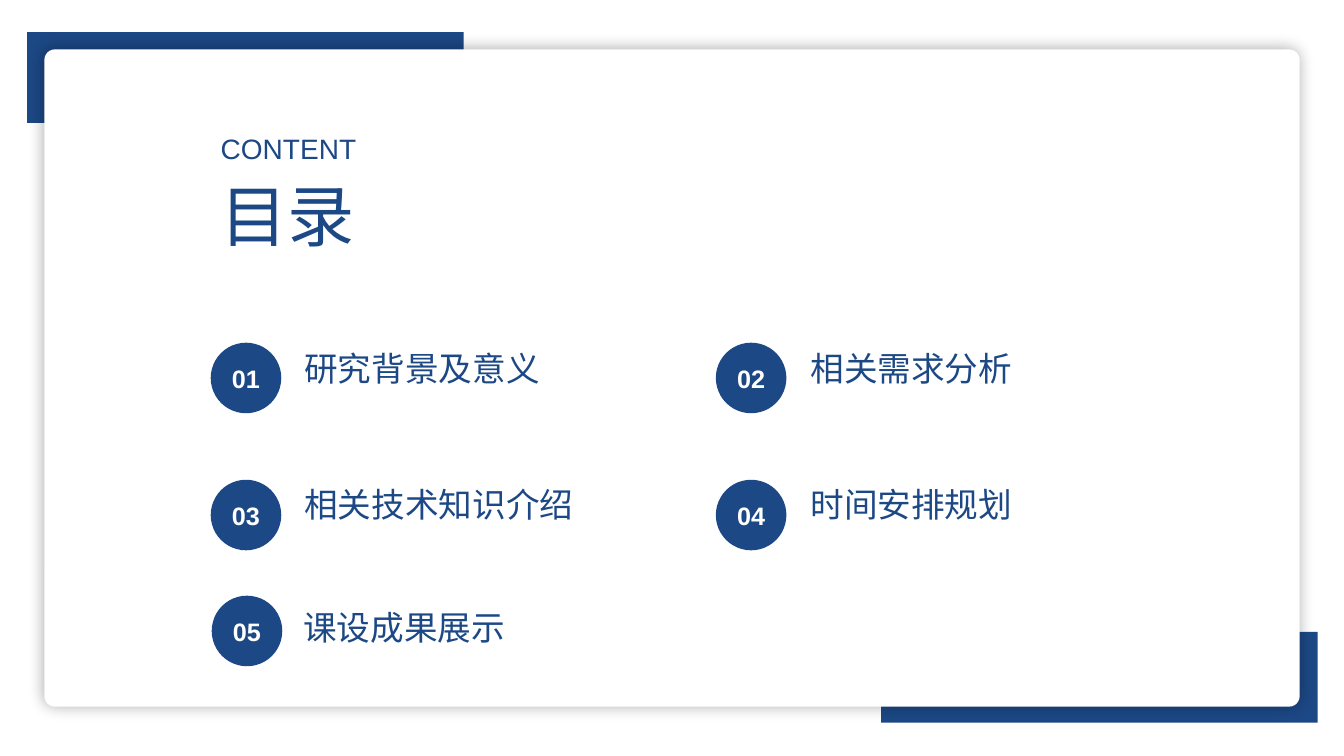
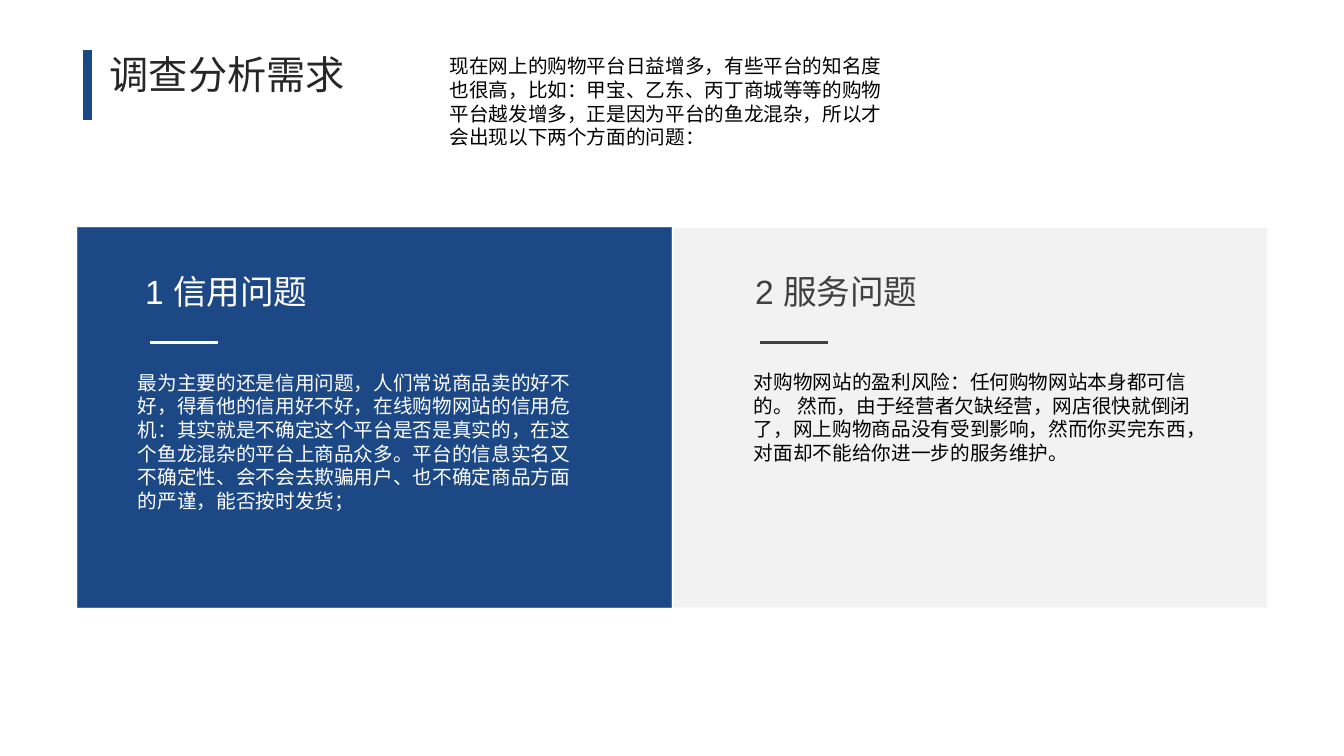
from lxml import etree
from pptx import Presentation
from pptx.dml.color import RGBColor
from pptx.enum.shapes import MSO_CONNECTOR, MSO_SHAPE
from pptx.enum.text import MSO_ANCHOR, PP_ALIGN
from pptx.oxml import parse_xml
from pptx.oxml.ns import nsdecls, qn
from pptx.util import Inches, Pt

FONT = "Arial"
BLUE, WHITE, BLACK = "1C4885", "FFFFFF", "000000"
INK, GREY, PALE, EDGE = "262626", "404040", "F2F2F2", "43739E"

CORNERS = [(8.74, 6.27), (0.27, 0.32)]
# number, title, circle position, title position
AGENDA = [
    ("01", "研究背景及意义", (2.09, 3.4), (2.92, 3.4)),
    ("02", "相关需求分析", (7.1, 3.4), (7.94, 3.4)),
    ("03", "相关技术知识介绍", (2.09, 4.76), (2.92, 4.75)),
    ("04", "时间安排规划", (7.1, 4.76), (7.94, 4.75)),
    ("05", "课设成果展示", (2.1, 5.91), (2.91, 5.97)),
]

TITLE = "调查分析需求"
INTRO = ("现在网上的购物平台日益增多，有些平台的知名度也很高，比如：甲宝、乙东、"
         "丙丁商城等等的购物平台越发增多，正是因为平台的鱼龙混杂，所以才会出现以下"
         "两个方面的问题：")
PANELS = [
    dict(left=0.77, fill=BLUE, edge=EDGE, head="1 信用问题", head_left=1.34,
         head_color=WHITE, body_at=(1.27, 3.63), body_color=WHITE,
         body="最为主要的还是信用问题，人们常说商品卖的好不好，得看他的信用好不好，"
              "在线购物网站的信用危机：其实就是不确定这个平台是否是真实的，在这个鱼龙"
              "混杂的平台上商品众多。平台的信息实名又不确定性、会不会去欺骗用户、也不"
              "确定商品方面的严谨，能否按时发货；"),
    dict(left=6.68, fill=PALE, edge=None, head="2 服务问题", head_left=7.39,
         head_color=GREY, body_at=(7.38, 3.62), body_color=BLACK,
         body="对购物网站的盈利风险：任何购物网站本身都可信的。 然而，由于经营者欠缺"
              "经营，网店很快就倒闭了，网上购物商品没有受到影响，然而你买完东西，对面"
              "却不能给你进一步的服务维护。"),
]


def rgb(value):
    return RGBColor.from_string(value)


def write(sp, text, size, color, align=None, bold=False):
    p = sp.text_frame.paragraphs[0]
    p.alignment = align
    r = p.add_run()
    r.text = text
    r.font.name, r.font.size, r.font.bold = FONT, Pt(size), bold
    r.font.color.rgb = rgb(color)


def add_text(slide, x, y, w, h, text, size, color, align=None):
    sp = slide.shapes.add_textbox(Inches(x), Inches(y), Inches(w), Inches(h))
    sp.text_frame.word_wrap = True
    write(sp, text, size, color, align)


def add_block(slide, kind, x, y, w, h, fill, edge=None):
    sp = slide.shapes.add_shape(kind, Inches(x), Inches(y), Inches(w), Inches(h))
    sp.shadow.inherit = False
    sp.fill.solid()
    sp.fill.fore_color.rgb = rgb(fill)
    if edge:
        sp.line.color.rgb = rgb(edge)
        sp.line.width = Pt(1)
    else:
        sp.line.fill.background()
    return sp


def add_line(slide, x1, y1, x2, y2, color, width):
    line = slide.shapes.add_connector(
        MSO_CONNECTOR.STRAIGHT, Inches(x1), Inches(y1), Inches(x2), Inches(y2))
    line.line.color.rgb = rgb(color)
    line.line.width = Pt(width)
    etree.SubElement(line._element.spPr, qn("a:effectLst"))


def add_soft_shadow(sp, blur, opacity):
    """Spread a black shadow evenly round the shape; opacity in percent."""
    effects = sp._element.spPr.find(qn("a:effectLst"))
    effects.append(parse_xml(
        f'<a:outerShdw {nsdecls("a")} blurRad="{Inches(blur)}" dist="0" '
        f'algn="ctr" rotWithShape="0"><a:srgbClr val="{BLACK}">'
        f'<a:alpha val="{opacity * 1000}"/></a:srgbClr></a:outerShdw>'))


def build_agenda(slide):
    for x, y in CORNERS:
        add_block(slide, MSO_SHAPE.RECTANGLE, x, y, 4.33, 0.9, BLUE)
    card = add_block(slide, MSO_SHAPE.ROUNDED_RECTANGLE, 0.44, 0.49, 12.45, 6.52, WHITE)
    card.adjustments[0] = 0.016
    add_soft_shadow(card, 0.15, 35)

    add_text(slide, 2.09, 1.68, 2.54, 0.91, "目录", 48, BLUE, PP_ALIGN.JUSTIFY)
    add_text(slide, 2.09, 1.26, 2.54, 0.44, "CONTENT", 20, BLUE, PP_ALIGN.JUSTIFY)
    for number, title, circle_at, title_at in AGENDA:
        circle = add_block(slide, MSO_SHAPE.OVAL, *circle_at, 0.7, 0.7, BLUE)
        circle.text_frame.vertical_anchor = MSO_ANCHOR.MIDDLE
        write(circle, number, 18, WHITE, PP_ALIGN.CENTER, bold=True)
        add_text(slide, *title_at, 4.05, 0.5, title, 24, BLUE, PP_ALIGN.JUSTIFY)


def build_needs(slide):
    add_line(slide, 0.87, 0.5, 0.87, 1.19, BLUE, 6)
    add_text(slide, 0.99, 0.45, 2.78, 0.57, TITLE, 28, INK)
    add_text(slide, 4.36, 0.49, 4.64, 1.58, INTRO, 14, BLACK)
    for panel in PANELS:
        add_block(slide, MSO_SHAPE.RECTANGLE, panel["left"], 2.26, 5.89, 3.77,
                  panel["fill"], panel["edge"])
        x, color = panel["head_left"], panel["head_color"]
        add_text(slide, x, 2.64, 3.13, 0.5, panel["head"], 24, color)
        add_line(slide, x + 0.15, 3.4, x + 0.82, 3.4, color, 2)
        add_text(slide, *panel["body_at"], 4.64, 2.05, panel["body"], 14,
                 panel["body_color"])


def main():
    prs = Presentation()
    prs.slide_width, prs.slide_height = Inches(13.33), Inches(7.5)
    for build in (build_agenda, build_needs):
        build(prs.slides.add_slide(prs.slide_layouts[6]))
    prs.save("out.pptx")


if __name__ == "__main__":
    main()
